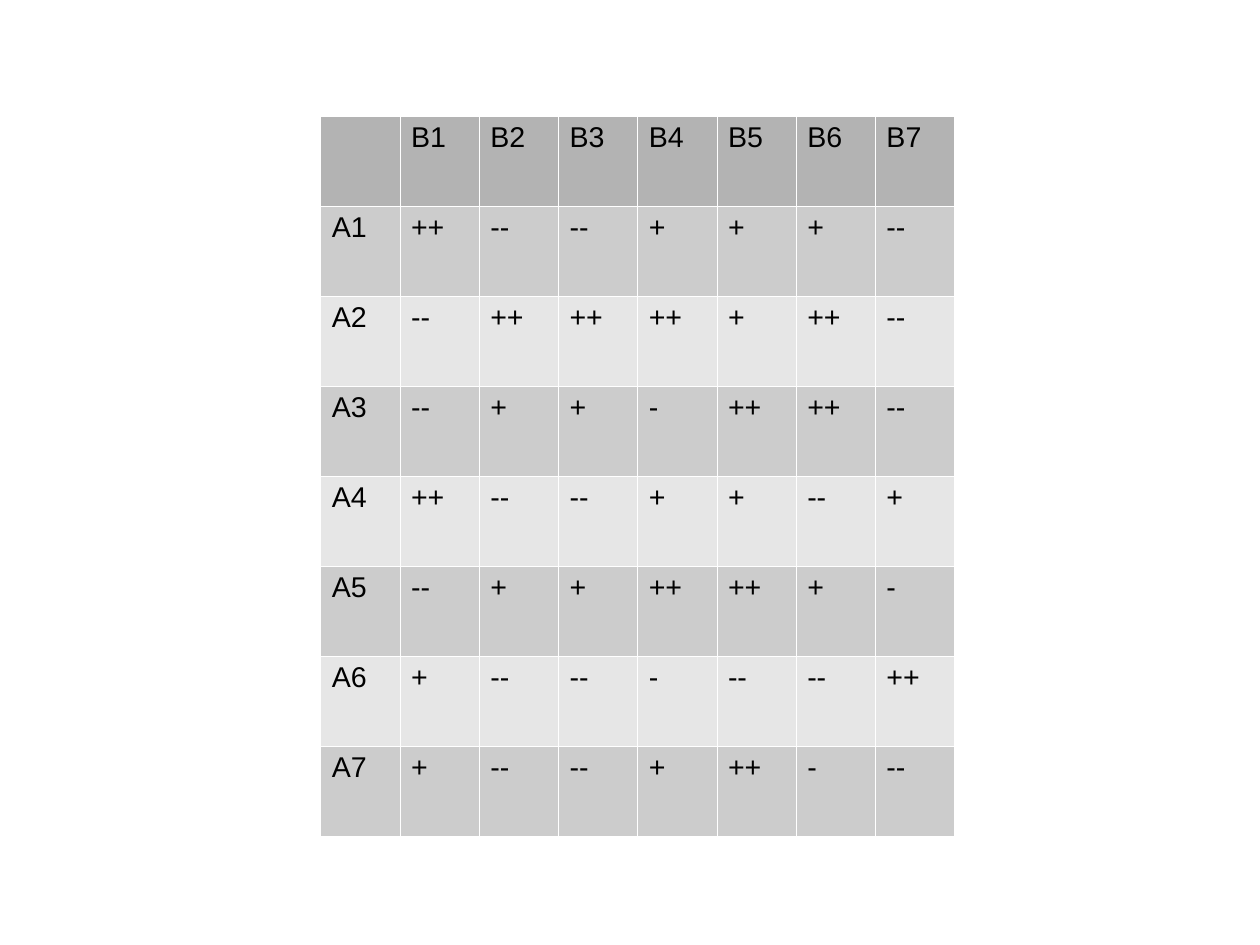
from lxml.etree import SubElement
from pptx import Presentation
from pptx.dml.color import RGBColor
from pptx.oxml.ns import qn
from pptx.util import Pt

COLORS = {
    "header": "B3B3B3",
    "odd_row": "CCCCCC",
    "even_row": "E6E6E6",
    "border": "FFFFFF",
    "text": "000000",
}
RATINGS = [
    "++ -- -- + + + --",
    "-- ++ ++ ++ + ++ --",
    "-- + + - ++ ++ --",
    "++ -- -- + + -- +",
    "-- + + ++ ++ + -",
    "+ -- -- - -- -- ++",
    "+ -- -- + ++ - --",
]
COLUMN_WIDTH = 49.93
ROW_HEIGHT = 56.7
BORDER_WIDTH = 0.06


def add_borders(cell):
    properties = cell._tc.get_or_add_tcPr()
    for side in ("lnL", "lnR", "lnT", "lnB"):
        border = SubElement(properties, qn(f"a:{side}"), w=str(Pt(BORDER_WIDTH)))
        fill = SubElement(border, qn("a:solidFill"))
        SubElement(fill, qn("a:srgbClr"), val=COLORS["border"])


def fill_cell(cell, label, color):
    add_borders(cell)
    cell.fill.solid()
    cell.fill.fore_color.rgb = RGBColor.from_string(COLORS[color])
    cell.margin_left = cell.margin_right = Pt(7.2)
    cell.margin_top = cell.margin_bottom = Pt(3.6)
    cell.text_frame.text = label
    for run in cell.text_frame.paragraphs[0].runs:
        run.font.name = "Arial"
        run.font.size = Pt(18)
        run.font.bold = False
        run.font.color.rgb = RGBColor.from_string(COLORS["text"])


def row_color(index):
    if index == 0:
        return "header"
    return "odd_row" if index % 2 else "even_row"


def add_matrix(slide, left, top, rows):
    row_count, column_count = len(rows), len(rows[0])
    matrix = slide.shapes.add_table(
        row_count, column_count, Pt(left), Pt(top),
        Pt(COLUMN_WIDTH * column_count), Pt(ROW_HEIGHT * row_count),
    ).table
    for column in matrix.columns:
        column.width = Pt(COLUMN_WIDTH)
    for row_index, labels in enumerate(rows):
        matrix.rows[row_index].height = Pt(ROW_HEIGHT)
        for column_index, label in enumerate(labels):
            fill_cell(matrix.cell(row_index, column_index), label, row_color(row_index))


def main():
    presentation = Presentation()
    presentation.slide_width = Pt(793.7)
    presentation.slide_height = Pt(595.28)
    slide = presentation.slides.add_slide(presentation.slide_layouts[6])
    header = [""] + [f"B{number}" for number in range(1, 8)]
    body = [[f"A{number}"] + ratings.split() for number, ratings in enumerate(RATINGS, 1)]
    add_matrix(slide, 201.8, 73.2, [header] + body)
    presentation.save("out.pptx")


main()
